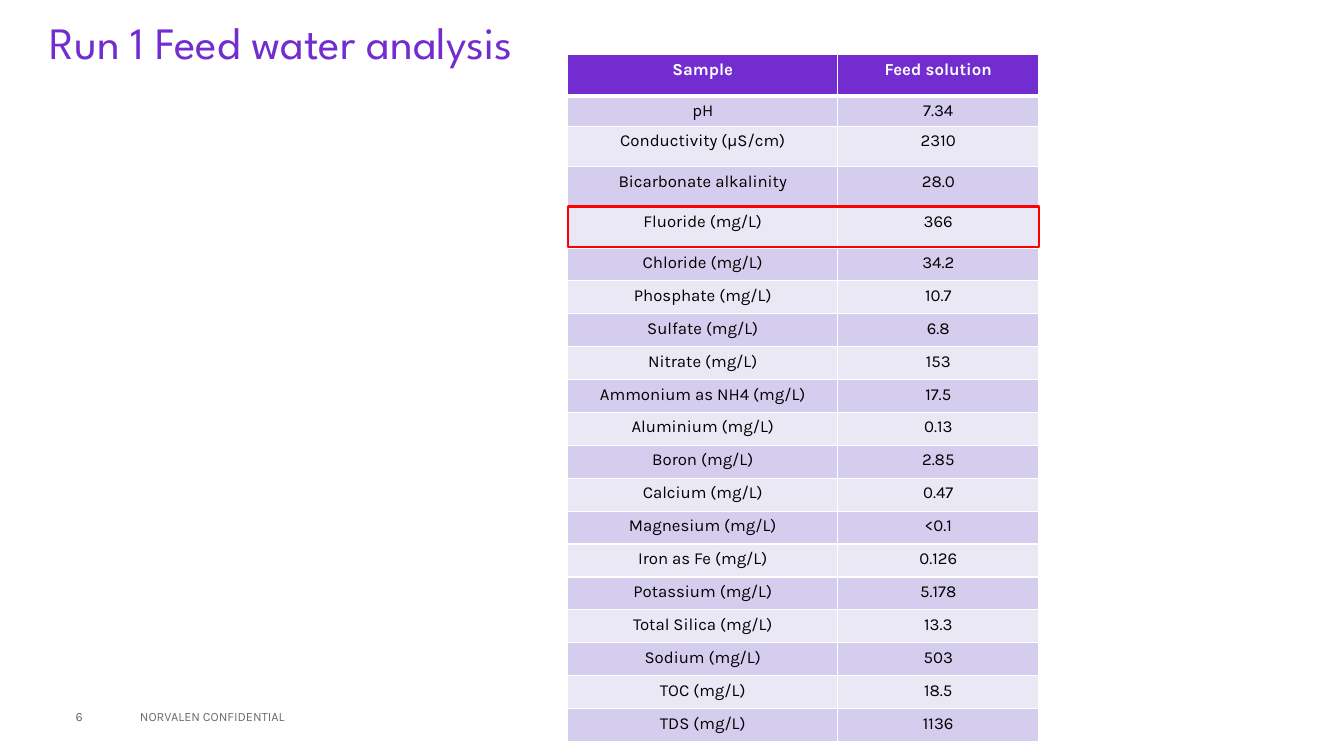
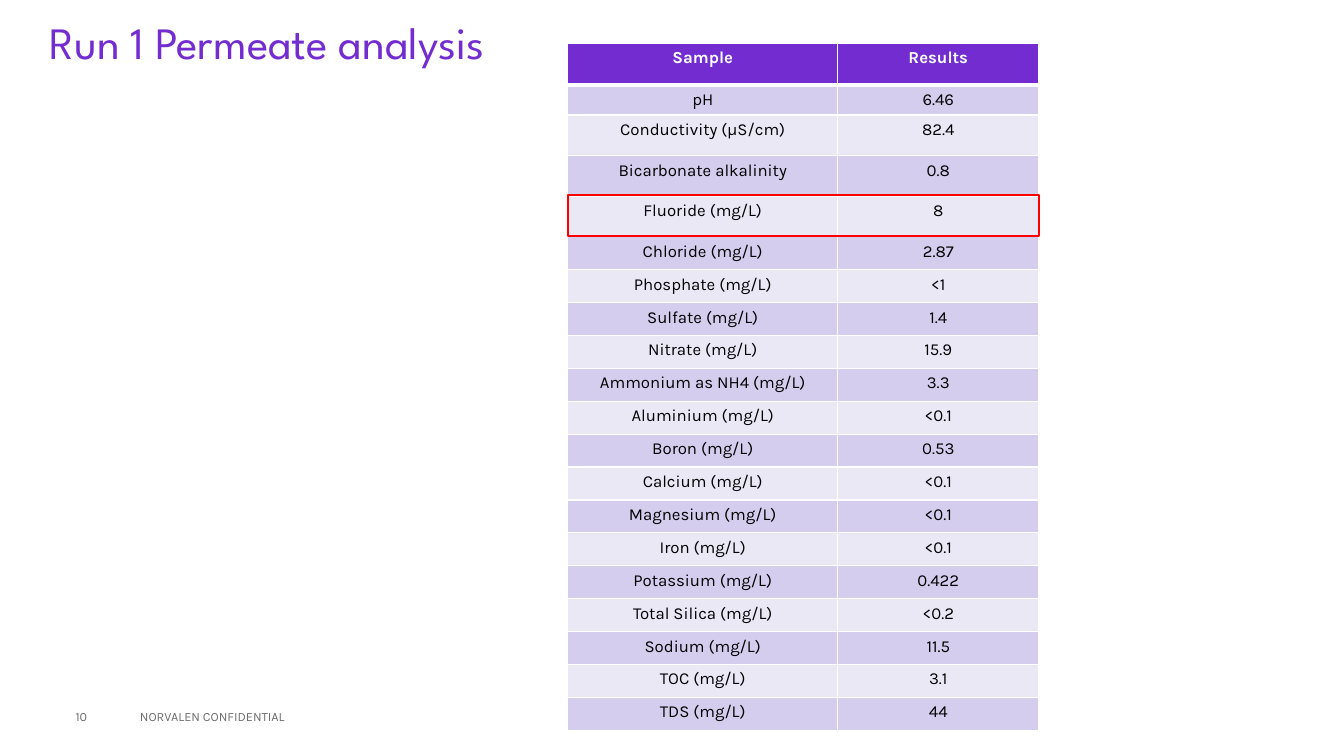
"""Build two water analysis slides, each with a results table and one outlined row."""
from lxml import etree
from pptx import Presentation
from pptx.dml.color import RGBColor
from pptx.enum.shapes import MSO_SHAPE
from pptx.enum.text import MSO_ANCHOR, PP_ALIGN
from pptx.oxml.ns import qn
from pptx.util import Emu, Pt

MIDDLE = MSO_ANCHOR.MIDDLE
LEFT, CENTER = PP_ALIGN.LEFT, PP_ALIGN.CENTER
RECTANGLE = MSO_SHAPE.RECTANGLE

COLORS = {
    "purple": "722CCF",
    "dark_band": "D5CDED",
    "light_band": "EBE8F6",
    "white": "FFFFFF",
    "black": "000000",
    "gray": "6C6C6C",
    "red": "FF0000",
}
TITLE_FONT, BODY_FONT = "League Spartan", "Karla"
FOOTER = "NORVALEN CONFIDENTIAL"

SAMPLES = [
    "pH", "Conductivity (µS/cm)", "Bicarbonate alkalinity", "Fluoride (mg/L)",
    "Chloride (mg/L)", "Phosphate (mg/L)", "Sulfate (mg/L)", "Nitrate (mg/L)",
    "Ammonium as NH4 (mg/L)", "Aluminium (mg/L)", "Boron (mg/L)", "Calcium (mg/L)",
    "Magnesium (mg/L)", "{iron} (mg/L)", "Potassium (mg/L)", "Total Silica (mg/L)",
    "Sodium (mg/L)", "TOC (mg/L)", "TDS (mg/L)",
]
SLIDES = [
    {
        "title": "Run 1 Feed water analysis", "number": "6", "table_top": 78,
        "heading": "Feed solution", "iron": "Iron as Fe",
        "values": ["7.34", "2310", "28.0", "366", "34.2", "10.7", "6.8", "153", "17.5",
                   "0.13", "2.85", "0.47", "<0.1", "0.126", "5.178", "13.3", "503",
                   "18.5", "1136"],
    },
    {
        "title": "Run 1 Permeate analysis", "number": "10", "table_top": 62,
        "heading": "Results", "iron": "Iron",
        "values": ["6.46", "82.4", "0.8", "8", "2.87", "<1", "1.4", "15.9", "3.3",
                   "<0.1", "0.53", "<0.1", "<0.1", "<0.1", "0.422", "<0.2", "11.5",
                   "3.1", "44"],
    },
]

EMU_PER_PX = 6350
PAGE_WIDTH, PAGE_HEIGHT = 1920, 1080
TABLE_LEFT = 811
COLUMN_WIDTHS = [386, 287]
ROW_HEIGHTS = [59, 43] + [58] * 3 + [47] * 15
OUTLINED_ROW = SAMPLES.index("Fluoride (mg/L)") + 1
OUTLINE_LIFT = 1


def px(length):
    """Turn pixels into EMU."""
    return Emu(length * EMU_PER_PX)


def color(name):
    """Return a named colour."""
    return RGBColor.from_string(COLORS[name])


def write(frame, text, size=12, font=BODY_FONT, ink="black", bold=False,
          align=LEFT, line_spacing=None):
    """Write one formatted paragraph into a text frame."""
    para = frame.paragraphs[0]
    para.alignment = align
    para.line_spacing = line_spacing
    span = para.add_run()
    span.text = text
    span.font.size = Pt(size)
    span.font.name = font
    span.font.bold = bold
    span.font.color.rgb = color(ink)


def add_text(page, text, bounds, inset=0, **style):
    """Add a vertically centred text box."""
    frame = page.shapes.add_textbox(*map(px, bounds)).text_frame
    frame.word_wrap = True
    frame.vertical_anchor = MIDDLE
    frame.margin_left = px(inset)
    write(frame, text, **style)


def add_borders(cell, widths):
    """Draw white borders on the sides of a cell."""
    properties = cell._tc.get_or_add_tcPr()
    for side, width in widths.items():
        line = etree.SubElement(properties, qn(f"a:ln{side}"), w=str(Pt(width)))
        fill = etree.SubElement(line, qn("a:solidFill"))
        etree.SubElement(fill, qn("a:srgbClr"), val=COLORS["white"])


def add_results(page, top, rows):
    """Add the banded table of samples and values."""
    frame = page.shapes.add_table(
        len(rows), len(COLUMN_WIDTHS), px(TABLE_LEFT), px(top),
        px(sum(COLUMN_WIDTHS)), px(sum(ROW_HEIGHTS)))
    table = frame.table
    table.horz_banding = False
    for column, width in zip(table.columns, COLUMN_WIDTHS):
        column.width = px(width)
    for index, (texts, height) in enumerate(zip(rows, ROW_HEIGHTS)):
        table.rows[index].height = px(height)
        header = index == 0
        band = "purple" if header else "dark_band" if index % 2 else "light_band"
        widths = {"L": 1, "R": 1, "T": 3 if index == 1 else 1, "B": 3 if header else 1}
        for cell, text in zip(table.rows[index].cells, texts):
            add_borders(cell, widths)
            cell.fill.solid()
            cell.fill.fore_color.rgb = color(band)
            write(cell.text_frame, text, ink="white" if header else "black",
                  bold=header, align=CENTER)


def add_outline(page, table_top):
    """Outline the highlighted table row in red."""
    top = table_top + sum(ROW_HEIGHTS[:OUTLINED_ROW]) - OUTLINE_LIFT
    outline = page.shapes.add_shape(
        RECTANGLE, px(TABLE_LEFT), px(top), px(sum(COLUMN_WIDTHS)),
        px(ROW_HEIGHTS[OUTLINED_ROW]))
    outline.shadow.inherit = False
    outline.fill.background()
    outline.line.color.rgb = color("red")
    outline.line.width = Pt(1.5)


def add_page(deck, content):
    """Add one analysis slide."""
    page = deck.slides.add_slide(deck.slide_layouts[6])
    add_text(page, content["title"], (71, 16, 1701, 96), size=32, font=TITLE_FONT,
             ink="purple", line_spacing=0.9)
    add_text(page, FOOTER, (186, 994, 648, 58), inset=14, size=9, ink="gray")
    add_text(page, content["number"], (108, 994, 78, 58), size=9, ink="gray")
    samples = [sample.format(iron=content["iron"]) for sample in SAMPLES]
    rows = [("Sample", content["heading"]), *zip(samples, content["values"])]
    add_results(page, content["table_top"], rows)
    add_outline(page, content["table_top"])


def main():
    """Build and save the deck."""
    deck = Presentation()
    deck.slide_width, deck.slide_height = px(PAGE_WIDTH), px(PAGE_HEIGHT)
    for content in SLIDES:
        add_page(deck, content)
    deck.save("out.pptx")


if __name__ == "__main__":
    main()
